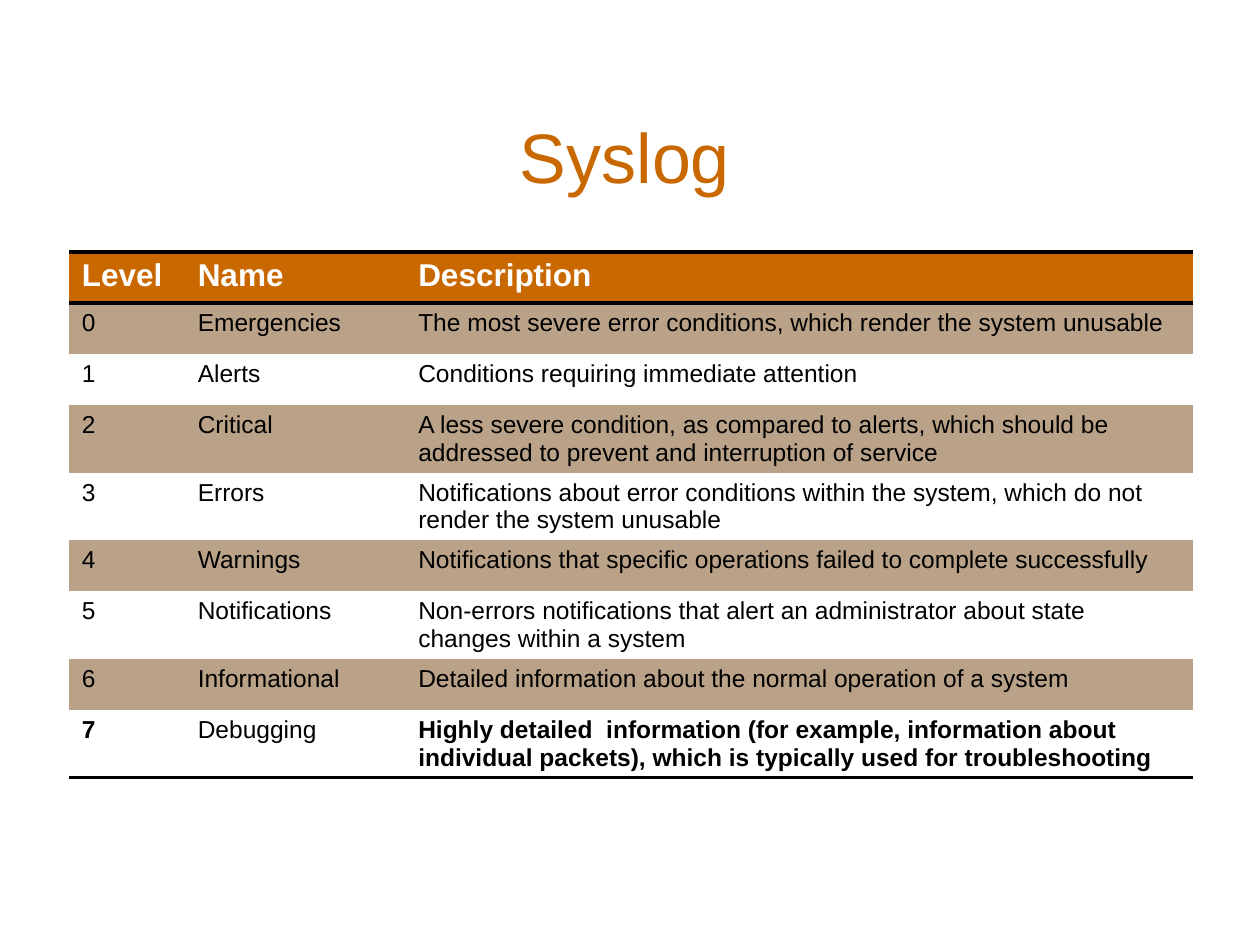
from dataclasses import dataclass

from lxml.etree import SubElement
from pptx import Presentation
from pptx.dml.color import RGBColor
from pptx.enum.text import MSO_ANCHOR, PP_ALIGN
from pptx.oxml.ns import qn
from pptx.slide import Slide
from pptx.table import Table, _Cell
from pptx.text.text import Font
from pptx.util import Inches, Pt

FONT_NAME = "Arial"
ORANGE = "CA6800"
TAN = "B9A288"
WHITE = "FFFFFF"
BLACK = "000000"
NO_STYLE_NO_GRID = "{2D5ABB26-0587-4C30-8999-92F81FD0307C}"
COLUMN_WIDTHS = (0.92, 1.75, 6.25)
ROW_HEIGHT = 0.405


@dataclass(frozen=True)
class SeverityLevel:
    level: str
    name: str
    description: str
    emphasized: bool = False


HEADINGS = ("Level", "Name", "Description")
SEVERITY_LEVELS = (
    SeverityLevel("0", "Emergencies", "The most severe error conditions, which render the system unusable"),
    SeverityLevel("1", "Alerts", "Conditions requiring immediate attention"),
    SeverityLevel("2", "Critical", "A less severe condition, as compared to alerts, which should be "
                  "addressed to prevent and interruption of service"),
    SeverityLevel("3", "Errors", "Notifications about error conditions within the system, which do not "
                  "render the system unusable"),
    SeverityLevel("4", "Warnings", "Notifications that specific operations failed to complete successfully"),
    SeverityLevel("5", "Notifications", "Non-errors notifications that alert an administrator about state "
                  "changes within a system"),
    SeverityLevel("6", "Informational", "Detailed information about the normal operation of a system"),
    SeverityLevel("7", "Debugging", "Highly detailed  information (for example, information about "
                  "individual packets), which is typically used for troubleshooting", True),
)


def color(value: str) -> RGBColor:
    return RGBColor.from_string(value)


def format_font(font: Font, size: float, font_color: str, bold: bool = False) -> None:
    font.name = FONT_NAME
    font.size = Pt(size)
    font.bold = bold
    font.color.rgb = color(font_color)


def add_border(cell: _Cell, side: str) -> None:
    properties = cell._tc.get_or_add_tcPr()
    line = SubElement(properties, qn(f"a:ln{side}"), w=str(Pt(2)))
    fill = SubElement(line, qn("a:solidFill"))
    SubElement(fill, qn("a:srgbClr"), val=BLACK)


def write_cell(cell: _Cell, text: str, size: float, font_color: str, fill_color: str,
               bold: bool = False, borders: str = "") -> None:
    for side in borders:
        add_border(cell, side)
    cell.fill.solid()
    cell.fill.fore_color.rgb = color(fill_color)
    cell.text = text
    format_font(cell.text_frame.paragraphs[0].font, size, font_color, bold)


def add_title(slide: Slide, text: str) -> None:
    title = slide.shapes.title
    title.left, title.top = Inches(0.46), Inches(0.92)
    title.width, title.height = Inches(9), Inches(0.63)
    title.text_frame.text = text
    title.text_frame.vertical_anchor = MSO_ANCHOR.MIDDLE
    paragraph = title.text_frame.paragraphs[0]
    paragraph.alignment = PP_ALIGN.CENTER
    format_font(paragraph.font, 40, ORANGE)


def add_empty_table(slide: Slide) -> Table:
    row_count = len(SEVERITY_LEVELS) + 1
    frame = slide.shapes.add_table(
        row_count, len(HEADINGS), Inches(0.55), Inches(2),
        Inches(sum(COLUMN_WIDTHS)), Inches(ROW_HEIGHT * row_count))
    table = frame.table
    table.horz_banding = False
    table._tbl.tblPr.find(qn("a:tableStyleId")).text = NO_STYLE_NO_GRID
    for column, width in zip(table.columns, COLUMN_WIDTHS):
        column.width = Inches(width)
    return table


def add_severity_table(slide: Slide) -> None:
    table = add_empty_table(slide)
    for column, heading in enumerate(HEADINGS):
        write_cell(table.cell(0, column), heading, 18, WHITE, ORANGE, True, "TB")
    for row, severity in enumerate(SEVERITY_LEVELS, start=1):
        fill_color = TAN if row % 2 else WHITE
        borders = "B" if row == len(SEVERITY_LEVELS) else ""
        entries = (
            (severity.level, severity.emphasized),
            (severity.name, False),
            (severity.description, severity.emphasized),
        )
        for column, (text, bold) in enumerate(entries):
            write_cell(table.cell(row, column), text, 14, BLACK, fill_color, bold, borders)


def main() -> None:
    presentation = Presentation()
    presentation.slide_width = Inches(10)
    presentation.slide_height = Inches(7.5)
    slide = presentation.slides.add_slide(presentation.slide_layouts[5])
    add_title(slide, "Syslog")
    add_severity_table(slide)
    presentation.save("out.pptx")


if __name__ == "__main__":
    main()
